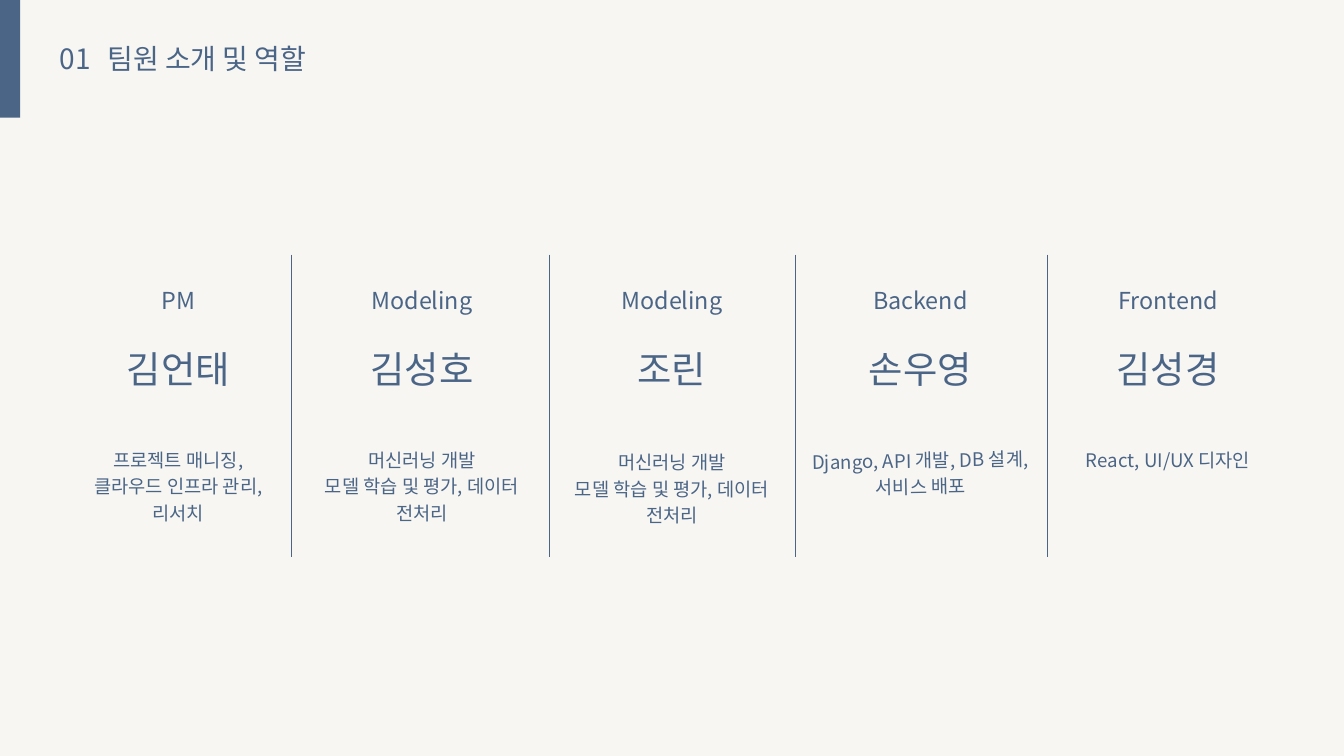
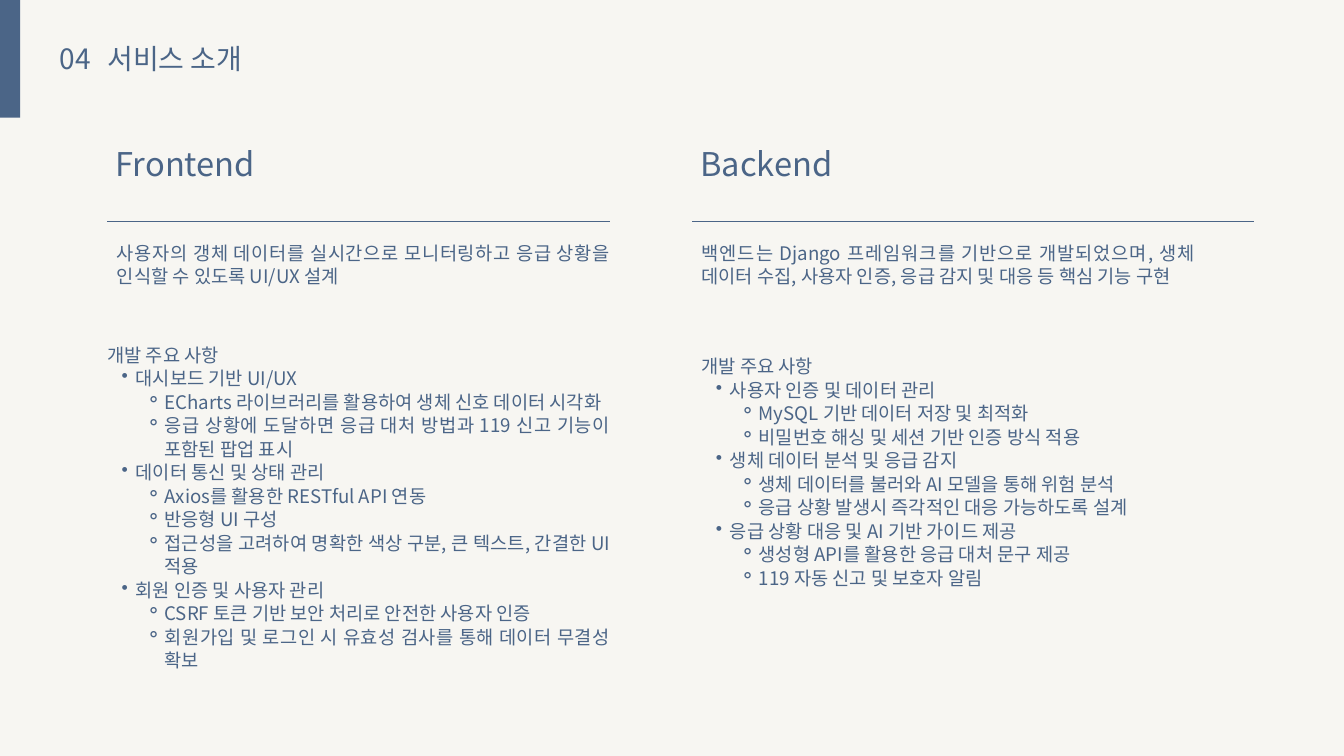
from dataclasses import dataclass

from lxml import etree
from pptx import Presentation
from pptx import util as u
from pptx.dml.color import RGBColor
from pptx.enum import shapes, text
from pptx.oxml.ns import qn

COLORS = {"paper": "F7F6F2", "navy": "4B6587"}
FONT = "Noto Sans CJK KR"
LEFT, CENTER, JUSTIFY = (text.PP_ALIGN.LEFT, text.PP_ALIGN.CENTER,
                         text.PP_ALIGN.JUSTIFY)
FRAME_FORMAT = {
    "word_wrap": True,
    "auto_size": text.MSO_AUTO_SIZE.SHAPE_TO_FIT_TEXT,
    "margin_left": 0, "margin_right": 0, "margin_top": 0, "margin_bottom": 0,
}
# Outline level: (bullet, left margin in cm, hanging indent in cm)
BULLETS = {1: ("•", 1.07, -0.53), 2: ("⚬", 2.16, -0.71)}


@dataclass(frozen=True)
class Box:
    """Position and size in centimetres."""
    left: float
    top: float
    width: float
    height: float


@dataclass(frozen=True)
class Style:
    size: float
    leading: float
    align: text.PP_ALIGN


@dataclass(frozen=True)
class Line:
    words: str
    level: int = 0


@dataclass(frozen=True)
class Member:
    center: float
    role: str
    name: str
    duties: tuple[str, ...]
    duty_height: float
    duty_top: float = 16.84
    duty_width: float = 8.03
    tilt: float = 0


@dataclass(frozen=True)
class Panel:
    heading: str
    heading_box: Box
    rule: tuple[float, float, float]
    summary: str
    summary_box: Box
    outline: tuple[Line, ...]
    outline_box: Box


TITLE = Style(30, 42, LEFT)
ROLE = Style(25, 35, CENTER)
NAME = Style(40, 56, CENTER)
DUTY = Style(20, 28, CENTER)
HEADING = Style(35, 49, JUSTIFY)
BODY = Style(20, 25.2, JUSTIFY)
OUTLINE_LEAD = 29.4

MODELING_DUTIES = ("머신러닝 개발", "모델 학습 및 평가, 데이터 전처리")
MEMBERS = (
    Member(6.74, "PM", "김언태",
           ("프로젝트 매니징,", "클라우드 인프라 관리,", "리서치"), 2.95),
    Member(15.95, "Modeling", "김성호", MODELING_DUTIES, 2.95),
    Member(25.4, "Modeling", "조린", MODELING_DUTIES, 2.95, duty_top=16.92),
    Member(34.79, "Backend", "손우영",
           ("Django, API 개발, DB 설계,", "서비스 배포"), 1.98,
           duty_width=8.48, tilt=359),
    Member(44.15, "Frontend", "김성경", ("React, UI/UX 디자인",), 0.99),
)
DIVIDERS = (11, 20.75, 30.05, 39.57)

PANELS = (
    Panel(
        "Frontend", Box(4.37, 5.18, 8.33, 1.68), (4.06, 23.06, 8.36),
        "사용자의 갱체 데이터를 실시간으로 모니터링하고 응급 상황을 인식할 수 있도록 UI/UX 설계",
        Box(4.42, 9.09, 18.64, 2.64),
        (
            Line("개발 주요 사항"),
            Line("대시보드 기반 UI/UX", 1),
            Line("ECharts 라이브러리를 활용하여 생체 신호 데이터 시각화", 2),
            Line("응급 상황에 도달하면 응급 대처 방법과 119 신고 기능이 포함된 팝업 표시", 2),
            Line("데이터 통신 및 상태 관리", 1),
            Line("Axios를 활용한 RESTful API 연동", 2),
            Line("반응형 UI 구성", 2),
            Line("접근성을 고려하여 명확한 색상 구분, 큰 텍스트, 간결한 UI 적용", 2),
            Line("회원 인증 및 사용자 관리", 1),
            Line("CSRF 토큰 기반 보안 처리로 안전한 사용자 인증", 2),
            Line("회원가입 및 로그인 시 유효성 검사를 통해 데이터 무결성 확보", 2),
        ),
        Box(4.06, 12.8, 19, 12.6),
    ),
    Panel(
        "Backend", Box(26.47, 5.18, 11.15, 1.68), (26.16, 47.4, 8.38),
        "백엔드는 Django 프레임워크를 기반으로 개발되었으며, 생체 데이터 수집, 사용자 인증, "
        "응급 감지 및 대응 등 핵심 기능 구현",
        Box(26.52, 9.09, 18.64, 2.64),
        (
            Line("개발 주요 사항"),
            Line("사용자 인증 및 데이터 관리", 1),
            Line("MySQL 기반 데이터 저장 및 최적화", 2),
            Line("비밀번호 해싱 및 세션 기반 인증 방식 적용", 2),
            Line("생체 데이터 분석 및 응급 감지", 1),
            Line("생체 데이터를 불러와 AI 모델을 통해 위험 분석", 2),
            Line("응급 상황 발생시 즉각적인 대응 가능하도록 설계", 2),
            Line("응급 상황 대응 및 AI 기반 가이드 제공", 1),
            Line("생성형 API를 활용한 응급 대처 문구 제공", 2),
            Line("119 자동 신고 및 보호자 알림", 2),
        ),
        Box(26.52, 13.23, 19, 9.04),
    ),
)


def color(key: str) -> RGBColor:
    return RGBColor.from_string(COLORS[key])


def apply(target, values: dict) -> None:
    for attribute, value in values.items():
        setattr(target, attribute, value)


def cm_box(box: Box) -> tuple:
    return tuple(u.Cm(v) for v in (box.left, box.top, box.width, box.height))


def add_bullet(paragraph, level: int) -> None:
    mark, margin, indent = BULLETS[level]
    properties = paragraph._p.get_or_add_pPr()
    properties.set("marL", str(u.Cm(margin)))
    properties.set("indent", str(u.Cm(indent)))
    etree.SubElement(properties, qn("a:buChar")).set("char", mark)


def add_text(slide, box: Box, lines: tuple[Line, ...], style: Style,
             lead: float = 0, tilt: float = 0) -> None:
    """Write lines into a box; lead overrides the leading of the first one."""
    textbox = slide.shapes.add_textbox(*cm_box(box))
    textbox.rotation = tilt
    frame = textbox.text_frame
    apply(frame, FRAME_FORMAT)
    for index, line in enumerate(lines):
        paragraph = frame.add_paragraph() if index else frame.paragraphs[0]
        if line.level:
            add_bullet(paragraph, line.level)
        leading = lead if lead and index == 0 else style.leading
        apply(paragraph, {"level": line.level, "alignment": style.align,
                          "line_spacing": u.Pt(leading)})
        run = paragraph.add_run()
        run.text = line.words
        apply(run.font, {"name": FONT, "size": u.Pt(style.size)})
        run.font.color.rgb = color("navy")
        east_asian = etree.Element(qn("a:ea"), typeface=FONT)
        run.font._element.find(qn("a:latin")).addnext(east_asian)


def add_rule(slide, x1: float, y1: float, x2: float, y2: float) -> None:
    rule = slide.shapes.add_connector(
        shapes.MSO_CONNECTOR.STRAIGHT, *(u.Cm(v) for v in (x1, y1, x2, y2)))
    rule.line.color.rgb = color("navy")
    rule.line.width = u.Pt(0.75)
    etree.SubElement(rule._element.spPr, qn("a:effectLst"))


def add_titled_slide(deck, number: str, title: str):
    slide = deck.slides.add_slide(deck.slide_layouts[6])
    slide.background.fill.solid()
    slide.background.fill.fore_color.rgb = color("paper")
    # Corner band
    band = slide.shapes.add_shape(shapes.MSO_SHAPE.RECTANGLE,
                                  *cm_box(Box(0, 0, 0.76, 4.45)))
    band.shadow.inherit = False
    band.fill.solid()
    band.fill.fore_color.rgb = color("navy")
    band.line.fill.background()
    # Section number and title
    add_text(slide, Box(2.26, 1.37, 1.8, 1.48), (Line(number),), TITLE)
    add_text(slide, Box(4.06, 1.37, 13.82, 1.48), (Line(title),), TITLE)
    return slide


def add_member(slide, member: Member) -> None:
    def centered(top: float, width: float, height: float) -> Box:
        return Box(member.center - width / 2, top, width, height)

    add_text(slide, centered(10.64, 8, 1.19), (Line(member.role),), ROLE)
    add_text(slide, centered(12.79, 4.7, 1.9), (Line(member.name),), NAME)
    add_text(slide,
             centered(member.duty_top, member.duty_width, member.duty_height),
             tuple(Line(duty) for duty in member.duties), DUTY,
             tilt=member.tilt)


def add_panel(slide, panel: Panel) -> None:
    start, end, height = panel.rule
    add_text(slide, panel.heading_box, (Line(panel.heading),), HEADING)
    add_rule(slide, start, height, end, height)
    add_text(slide, panel.summary_box, (Line(panel.summary),), BODY)
    add_text(slide, panel.outline_box, panel.outline, BODY, lead=OUTLINE_LEAD)


def main() -> None:
    deck = Presentation()
    apply(deck, {"slide_width": u.Cm(50.8), "slide_height": u.Cm(28.58)})

    # Team members and roles
    team = add_titled_slide(deck, "01", "팀원 소개 및 역할")
    for x in DIVIDERS:
        add_rule(team, x, 9.63, x, 21.06)
    for member in MEMBERS:
        add_member(team, member)

    # Service overview
    service = add_titled_slide(deck, "04", "서비스 소개")
    for panel in PANELS:
        add_panel(service, panel)

    deck.save("out.pptx")


if __name__ == "__main__":
    main()
